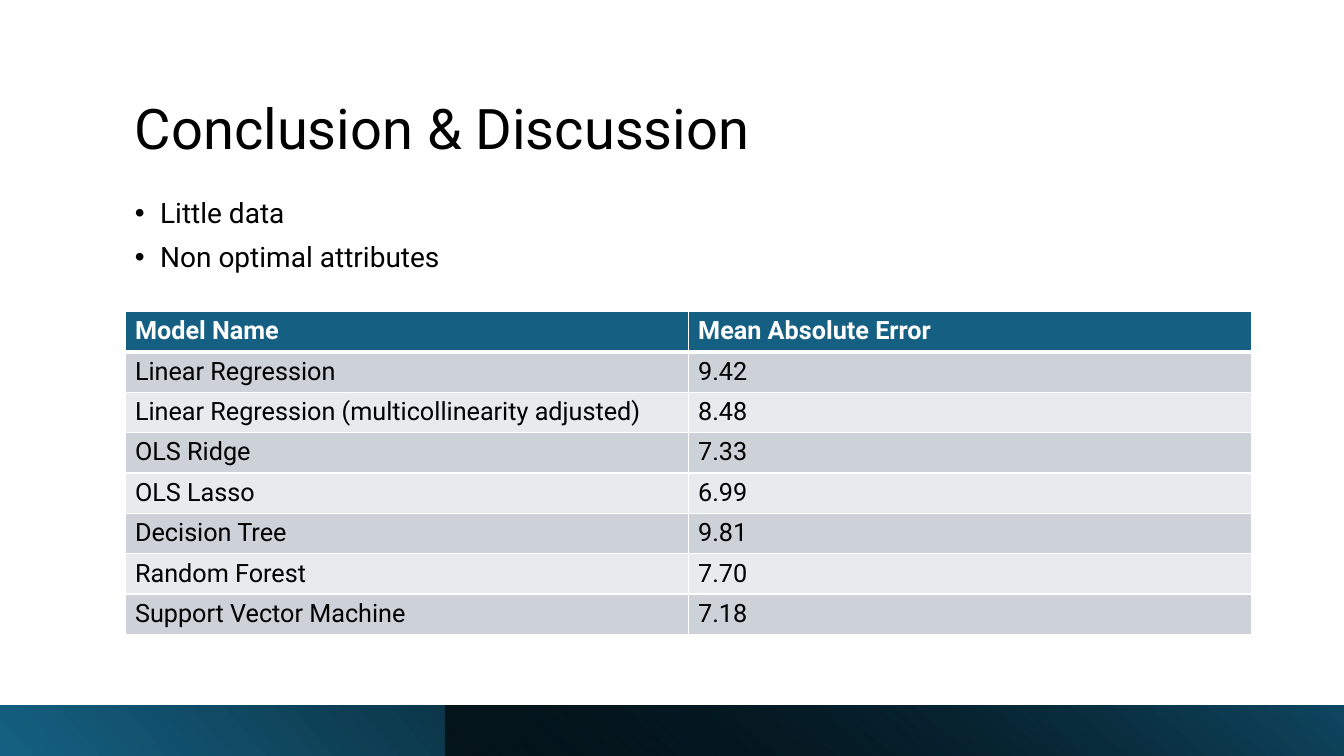
"""Build the conclusion slide: title, two bullets, a table of model errors and a footer band."""
from lxml.etree import SubElement
from pptx import Presentation
from pptx.dml.color import RGBColor
from pptx.enum.shapes import MSO_SHAPE
from pptx.enum.text import MSO_ANCHOR
from pptx.oxml.ns import qn
from pptx.util import Inches, Pt

theme = {
    "font": "Roboto", "title": 40, "body": 20, "cell": 18,
    "ink": "000000", "paper": "FFFFFF", "head": "156082", "deep": "104862",
    "bands": ("E8EAED", "CCD2D8"), "thin": 1, "thick": 3,
}

deck = Presentation()
deck.slide_width, deck.slide_height = Inches(13.33), Inches(7.5)
slide = deck.slides.add_slide(deck.slide_layouts[6])
shapes = slide.shapes


def area(left, top, width, height):
    """Turn percentages of the slide into lengths."""
    across, down = deck.slide_width / 100, deck.slide_height / 100
    return int(left * across), int(top * down), int(width * across), int(height * down)


def write(para, text, size, color, bold=False):
    """Add one styled run to a paragraph."""
    run = para.add_run()
    run.text = text
    look = {"name": theme["font"], "size": Pt(size), "bold": bold}
    for key, value in look.items():
        setattr(run.font, key, value)
    run.font.color.rgb = RGBColor.from_string(color)


margin, measure = 9.3, 79.5
blocks = [
    (7.33, 14.67, MSO_ANCHOR.BOTTOM, "title", 0, ["Conclusion & Discussion"]),
    (25.73, 14, MSO_ANCHOR.TOP, "body", 10, ["Little data", "Non optimal attributes"]),
]
for top, height, anchor, role, space, lines in blocks:
    frame = shapes.add_textbox(*area(margin, top, measure, height)).text_frame
    frame.word_wrap, frame.vertical_anchor = True, anchor
    for order, line in enumerate(lines):
        para = frame.add_paragraph() if order else frame.paragraphs[0]
        para.line_spacing, para.space_before = 0.9, Pt(space)
        write(para, line, theme[role], theme["ink"])
        if role == "body":
            props = para._p.get_or_add_pPr()
            props.set("marL", str(Inches(0.25)))
            props.set("indent", str(-Inches(0.25)))
            SubElement(props, qn("a:buFont"), typeface="Arial")
            SubElement(props, qn("a:buChar"), char="•")

bars = [
    (0, 40, [(0, theme["head"], 100), (0.78, theme["ink"], 100)]),
    (33.15, 50, [(0, theme["ink"], 63), (1, theme["deep"], 100)]),
]
for left, angle, stops in bars:
    bar = shapes.add_shape(MSO_SHAPE.RECTANGLE, *area(left, 93.33, 100 - left, 6.67))
    bar.shadow.inherit = False
    bar.line.fill.background()
    bar.fill.gradient()
    bar.fill.gradient_angle = angle
    for stop, (place, color, _) in zip(bar.fill.gradient_stops, stops):
        stop.position, stop.color.rgb = place, RGBColor.from_string(color)
    tints = bar._element.spPr.findall(".//" + qn("a:gs") + "/" + qn("a:srgbClr"))
    for tint, (_, _, alpha) in zip(tints, stops):
        if alpha < 100:
            SubElement(tint, qn("a:alpha"), val=str(alpha * 1000))

rows = [
    ("Model Name", "Mean Absolute Error"),
    ("Linear Regression", "9.42"),
    ("Linear Regression (multicollinearity adjusted)", "8.48"),
    ("OLS Ridge", "7.33"),
    ("OLS Lasso", "6.99"),
    ("Decision Tree", "9.81"),
    ("Random Forest", "7.70"),
    ("Support Vector Machine", "7.18"),
]
place = area(margin, 41.2, 83.8, 5.24 * len(rows))
table = shapes.add_table(len(rows), len(rows[0]), *place).table
for r, row in enumerate(rows):
    head = r == 0
    for c, text in enumerate(row):
        cell = table.cell(r, c)
        write(cell.text_frame.paragraphs[0], text, theme["cell"],
              theme["paper"] if head else theme["ink"], head)
        props = cell._tc.get_or_add_tcPr()
        for side in "LRTB":
            heavy = (r, side) in ((0, "B"), (1, "T"))
            width = Pt(theme["thick" if heavy else "thin"])
            edge = SubElement(props, qn("a:ln" + side), w=str(width))
            SubElement(SubElement(edge, qn("a:solidFill")), qn("a:srgbClr"), val=theme["paper"])
        cell.fill.solid()
        cell.fill.fore_color.rgb = RGBColor.from_string(
            theme["head"] if head else theme["bands"][r % 2])

deck.save("out.pptx")
